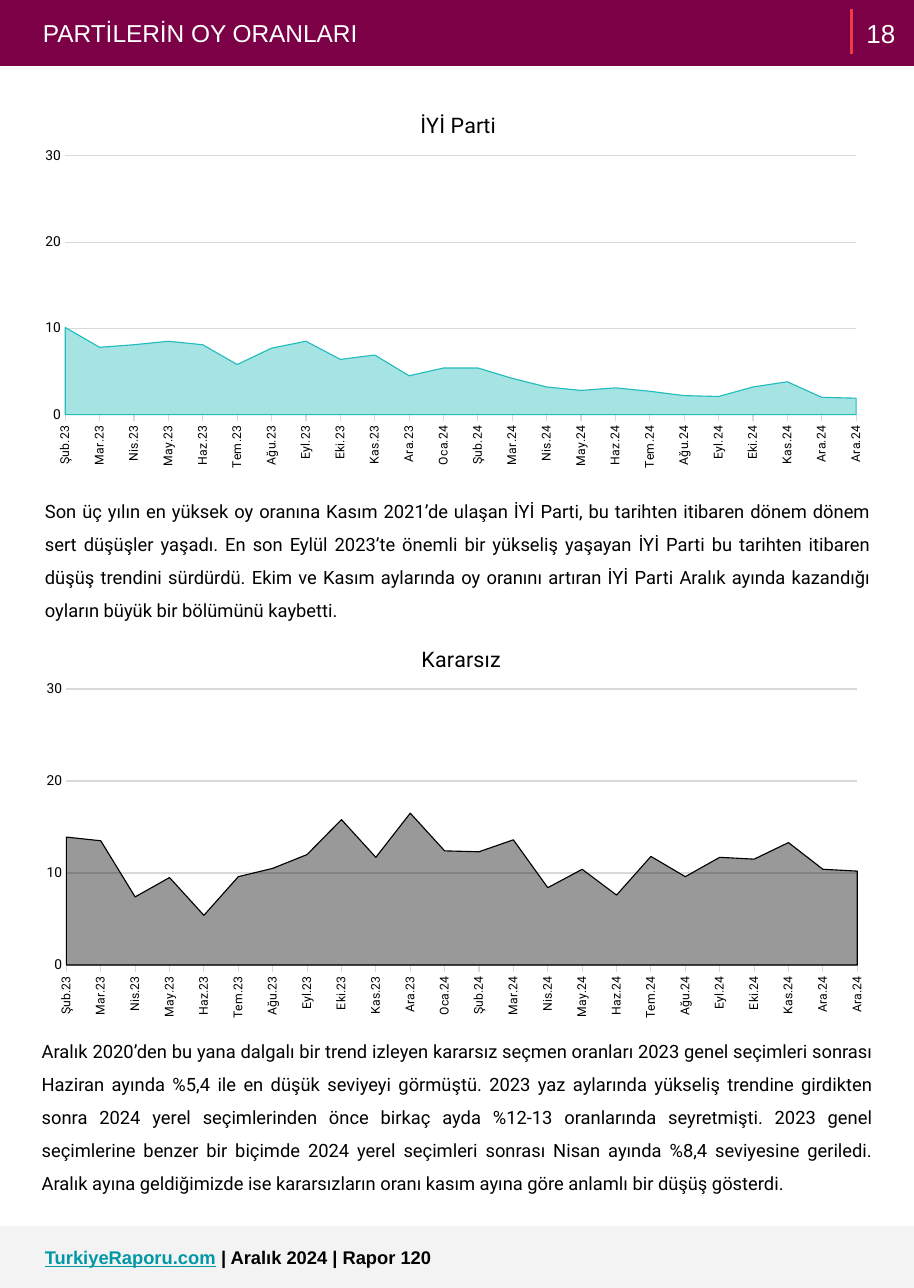
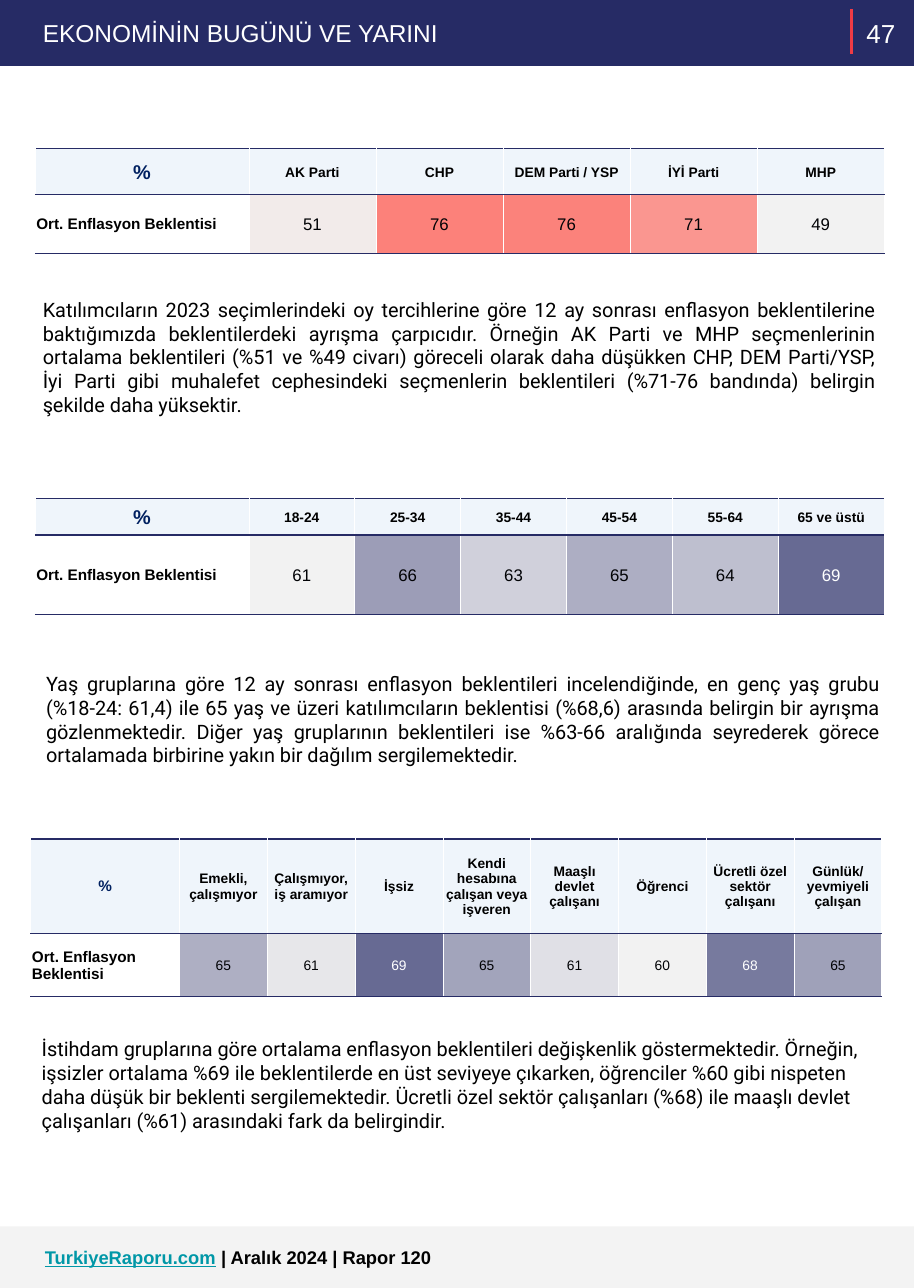
from dataclasses import dataclass

import lxml.etree
import pptx
import pptx.chart.chart
import pptx.chart.data
import pptx.dml.color
import pptx.enum.chart
import pptx.enum.shapes
import pptx.enum.text
import pptx.oxml.ns
import pptx.presentation
import pptx.slide
import pptx.table
import pptx.text.text
import pptx.util

Inches = pptx.util.Inches
Pt = pptx.util.Pt
RGBColor = pptx.dml.color.RGBColor
Align = pptx.enum.text.PP_ALIGN
Anchor = pptx.enum.text.MSO_ANCHOR
qn = pptx.oxml.ns.qn

PAGE_WIDTH, PAGE_HEIGHT = 8.3, 11.7
BAND_HEIGHT, FOOTER_TOP = 0.6, 11.14
SANS, BODY = "Arial", "Roboto"

BLACK = RGBColor(0x00, 0x00, 0x00)
WHITE = RGBColor(0xFF, 0xFF, 0xFF)
RED = RGBColor(0xEF, 0x3B, 0x45)
PLUM = RGBColor(0x7B, 0x00, 0x46)
NAVY = RGBColor(0x26, 0x2B, 0x65)
DEEP_BLUE = RGBColor(0x00, 0x20, 0x60)
LINK_TEAL = RGBColor(0x00, 0x97, 0xA7)
CHART_TEAL = RGBColor(0x22, 0xBC, 0xBC)
GRID_GREY = RGBColor(0xD9, 0xD9, 0xD9)
FOOTER_GREY = RGBColor(0xF3, 0xF3, 0xF3)
HEADER_BLUE = RGBColor(0xEF, 0xF5, 0xFB)
VALUE_INK = RGBColor(0x01, 0x02, 0x05)


def shades(*codes: str) -> tuple[RGBColor, ...]:
    return tuple(RGBColor.from_string(code) for code in codes)


PARTY_SHADES = shades("F2EBEA", "FC817A", "FB827B", "FA9690", "F2F2F2")
AGE_SHADES = shades("F2F2F2", "9C9DB7", "D0D0DB", "ADAEC3", "BEBFCF", "676A93")
JOB_SHADES = shades("AEAFC3", "E7E7EA", "676A93", "A2A4BB",
                    "E0E0E6", "F2F2F2", "777A9E", "9FA1B9")

MONTHS = ("Şub Mar Nis May Haz Tem Ağu Eyl Eki Kas Ara").split()
CATEGORIES = [f"{month}.23" for month in MONTHS] + [
    f"{month}.24" for month in ["Oca", *MONTHS, "Ara"]]


@dataclass
class Box:
    left: float
    top: float
    width: float
    height: float

    def lengths(self) -> list[pptx.util.Length]:
        return [Inches(value) for value in (self.left, self.top, self.width, self.height)]


@dataclass
class Page:
    title: str
    number: int
    band: RGBColor


@dataclass
class Passage:
    box: Box
    text: str
    size: int = 13
    align: Align = Align.JUSTIFY
    spacing: float = 1.0
    inset: float = 0.05


@dataclass
class VoteChart:
    box: Box
    title: str
    color: RGBColor
    plot_top: float
    plot_height: float
    values: list[float]


@dataclass
class ExpectationTable:
    box: Box
    label_width: float
    row_heights: tuple[float, float]
    groups: list[str]
    values: list[int]
    fills: tuple[RGBColor, ...]
    corner_size: int = 13
    value_size: int = 11


def style_font(font: pptx.text.text.Font, size: float, color: RGBColor,
               name: str = SANS, bold: bool = False) -> None:
    font.size, font.name, font.bold = Pt(size), name, bold
    font.color.rgb = color


def set_frame(frame: pptx.text.text.TextFrame, inset: float = 0.1,
              anchor: Anchor = Anchor.TOP) -> None:
    frame.word_wrap = True
    frame.auto_size = pptx.enum.text.MSO_AUTO_SIZE.NONE
    frame.vertical_anchor = anchor
    frame.margin_left = frame.margin_right = Inches(0.1)
    frame.margin_top = frame.margin_bottom = Inches(inset)


def add_text(slide: pptx.slide.Slide, box: Box, inset: float = 0.1,
             anchor: Anchor = Anchor.TOP) -> pptx.text.text._Paragraph:
    frame = slide.shapes.add_textbox(*box.lengths()).text_frame
    set_frame(frame, inset, anchor)
    return frame.paragraphs[0]


def add_band(slide: pptx.slide.Slide, top: float, height: float, color: RGBColor) -> None:
    band = slide.shapes.add_shape(pptx.enum.shapes.MSO_SHAPE.RECTANGLE,
                                  *Box(0, top, PAGE_WIDTH, height).lengths())
    band.shadow.inherit = False
    band.fill.solid()
    band.fill.fore_color.rgb = color
    band.line.fill.background()


def add_page(presentation: pptx.presentation.Presentation, page: Page) -> pptx.slide.Slide:
    slide = presentation.slides.add_slide(presentation.slide_layouts.get_by_name("Title Only"))
    add_band(slide, FOOTER_TOP, PAGE_HEIGHT - FOOTER_TOP, FOOTER_GREY)
    footer = add_text(slide, Box(0.31, 11.22, 6.96, 0.4))
    for text, color in (("TurkiyeRaporu.com", LINK_TEAL), (" ", RED),
                        ("| Aralık 2024 | Rapor 120", BLACK)):
        run = footer.add_run()
        run.text = text
        style_font(run.font, 12, color, bold=True)
        run.font.underline = color == LINK_TEAL

    add_band(slide, 0, BAND_HEIGHT, page.band)
    divider = slide.shapes.add_connector(
        pptx.enum.shapes.MSO_CONNECTOR.STRAIGHT,
        Inches(7.73), Inches(0.08), Inches(7.73), Inches(0.49))
    divider.line.color.rgb = RED
    divider.line.width = Pt(2.25)
    lxml.etree.SubElement(divider.element.spPr, qn("a:effectLst"))

    title = slide.shapes.title
    slide.shapes.element.append(title.element)
    title.left, title.top, title.width, title.height = Box(0.29, 0.06, 6.45, 0.47).lengths()
    set_frame(title.text_frame)
    title.text_frame.text = page.title
    heading = title.text_frame.paragraphs[0]
    heading.alignment = Align.LEFT
    heading.line_spacing = 1.0
    style_font(heading.font, 16, WHITE)

    number = add_text(slide, Box(7.73, -0.15, 0.54, 0.9), anchor=Anchor.MIDDLE)
    number.text = str(page.number)
    number.alignment = Align.CENTER
    style_font(number.font, 17, WHITE)
    return slide


def add_passage(slide: pptx.slide.Slide, passage: Passage) -> None:
    paragraph = add_text(slide, passage.box, passage.inset)
    paragraph.text = passage.text
    paragraph.alignment = passage.align
    paragraph.line_spacing = passage.spacing
    style_font(paragraph.font, passage.size, BLACK, BODY)


def set_layout(parent: lxml.etree._Element, index: int, **settings: str | float) -> None:
    for old in parent.findall(qn("c:layout")):
        parent.remove(old)
    layout = parent.makeelement(qn("c:layout"))
    parent.insert(index, layout)
    manual = lxml.etree.SubElement(layout, qn("c:manualLayout"))
    for name, value in settings.items():
        lxml.etree.SubElement(manual, qn(f"c:{name}")).set("val", str(value))


def add_vote_chart(slide: pptx.slide.Slide, item: VoteChart) -> None:
    data = pptx.chart.data.CategoryChartData()
    data.categories = CATEGORIES
    data.add_series("Series 1", item.values)
    chart = slide.shapes.add_chart(pptx.enum.chart.XL_CHART_TYPE.AREA,
                                   *item.box.lengths(), data).chart
    chart.has_legend = False
    style_font(chart.font, 10, BLACK, BODY)
    chart.chart_title.text_frame.text = item.title
    style_font(chart.chart_title.text_frame.paragraphs[0].font, 14, BLACK, BODY)
    set_layout(chart.chart_title.element, 1, xMode="edge", yMode="edge", x=0.455, y=0.05)
    set_layout(chart.element.xpath("c:chart/c:plotArea")[0], 0, layoutTarget="inner",
               xMode="edge", yMode="edge", x=0.043, y=item.plot_top,
               w=0.928, h=item.plot_height)

    tick = pptx.enum.chart.XL_TICK_MARK
    months, votes = chart.category_axis, chart.value_axis
    months.has_major_gridlines = False
    months.major_tick_mark = tick.OUTSIDE
    style_font(months.tick_labels.font, 8, BLACK, BODY)
    chart.element.xpath(".//c:catAx/c:txPr/a:bodyPr")[0].set("rot", "-5400000")
    votes.minimum_scale, votes.maximum_scale, votes.major_unit = 0, 30, 10
    votes.major_tick_mark = tick.NONE
    votes.has_major_gridlines = True
    votes.format.line.fill.background()
    style_font(votes.tick_labels.font, 9, BLACK, BODY)
    chart.element.xpath(".//c:crossBetween")[0].set("val", "midCat")

    series = chart.plots[0].series[0]
    for line, color in ((months.format.line, GRID_GREY),
                        (votes.major_gridlines.format.line, GRID_GREY),
                        (series.format.line, item.color)):
        line.color.rgb = color
        line.width = Pt(0.75)
    series.format.fill.solid()
    series.format.fill.fore_color.rgb = item.color
    fill_color = chart.element.xpath(".//c:ser/c:spPr/a:solidFill/a:srgbClr")[0]
    lxml.etree.SubElement(fill_color, qn("a:alpha")).set("val", "40000")


def fill_cell(cell: pptx.table._Cell, text: str, size: int, color: RGBColor,
              fill: RGBColor | None, bold: bool = True, align: Align = Align.CENTER) -> None:
    properties = cell._tc.get_or_add_tcPr()
    for side, line_color, width in (("L", WHITE, 0.5), ("R", WHITE, 0.5),
                                    ("T", NAVY, 1), ("B", NAVY, 1)):
        line = lxml.etree.SubElement(properties, qn(f"a:ln{side}"), w=str(Pt(width)))
        solid = lxml.etree.SubElement(line, qn("a:solidFill"))
        lxml.etree.SubElement(solid, qn("a:srgbClr"), val=str(line_color))
    if fill is None:
        cell.fill.background()
    else:
        cell.fill.solid()
        cell.fill.fore_color.rgb = fill
    cell.vertical_anchor = Anchor.MIDDLE
    cell.margin_left = cell.margin_right = cell.margin_top = Inches(0.01)
    cell.margin_bottom = 0
    cell.text = text
    paragraph = cell.text_frame.paragraphs[0]
    paragraph.alignment = align
    style_font(paragraph.font, size, color, bold=bold)


def add_expectation_table(slide: pptx.slide.Slide, item: ExpectationTable) -> None:
    count = len(item.groups)
    table = slide.shapes.add_table(2, count + 1, *item.box.lengths()).table
    table.first_row = table.horz_banding = False
    for row, height in zip(table.rows, item.row_heights):
        row.height = Inches(height)
    group_width = (item.box.width - item.label_width) / count
    for column, width in zip(table.columns, [item.label_width] + [group_width] * count):
        column.width = Inches(width)
    fill_cell(table.cell(0, 0), "%", item.corner_size, DEEP_BLUE, HEADER_BLUE)
    fill_cell(table.cell(1, 0), "Ort. Enflasyon Beklentisi", 10, BLACK, None, align=Align.LEFT)
    for index, (group, value, fill) in enumerate(zip(item.groups, item.values, item.fills), 1):
        fill_cell(table.cell(0, index), group, 9, BLACK, HEADER_BLUE)
        ink = WHITE if sum(fill) < 420 else VALUE_INK
        fill_cell(table.cell(1, index), str(value), item.value_size, ink, fill, bold=False)


VOTE_CHARTS = [
    VoteChart(Box(0.26, 0.79, 7.74, 3.54), "İYİ Parti", CHART_TEAL, 0.177, 0.664,
              [10.1, 7.8, 8.1, 8.5, 8.1, 5.8, 7.7, 8.5, 6.4, 6.9, 4.5, 5.4,
               5.4, 4.2, 3.2, 2.8, 3.1, 2.7, 2.2, 2.1, 3.2, 3.8, 2, 1.9]),
    VoteChart(Box(0.27, 5.63, 7.74, 3.7), "Kararsız", BLACK, 0.17, 0.678,
              [13.9, 13.5, 7.4, 9.5, 5.4, 9.6, 10.5, 12, 15.8, 11.7, 16.5, 12.4,
               12.3, 13.6, 8.4, 10.4, 7.6, 11.8, 9.6, 11.7, 11.5, 13.3, 10.4, 10.2]),
]
VOTE_PASSAGES = [
    Passage(Box(0.31, 4.34, 7.7, 0.71), "Son üç yılın en yüksek oy oranına Kasım 2021’de ulaşan İYİ Parti, bu tarihten itibaren dönem dönem sert düşüşler yaşadı. En son Eylül 2023’te önemli bir yükseliş yaşayan İYİ Parti bu tarihten itibaren düşüş trendini sürdürdü. Ekim ve Kasım aylarında oy oranını artıran İYİ Parti Aralık ayında kazandığı oyların büyük bir bölümünü kaybetti.", 12, spacing=1.5, inset=0.1),
    Passage(Box(0.28, 9.25, 7.75, 1.21), "Aralık 2020’den bu yana dalgalı bir trend izleyen kararsız seçmen oranları 2023 genel seçimleri sonrası Haziran ayında %5,4 ile en düşük seviyeyi görmüştü. 2023 yaz aylarında yükseliş trendine girdikten sonra 2024 yerel seçimlerinden önce birkaç ayda %12-13 oranlarında seyretmişti. 2023 genel seçimlerine benzer bir biçimde 2024 yerel seçimleri sonrası Nisan ayında %8,4 seviyesine geriledi. Aralık ayına geldiğimizde ise kararsızların oranı kasım ayına göre anlamlı bir düşüş gösterdi.", 12, spacing=1.5, inset=0.1),
]
EXPECTATION_TABLES = [
    ExpectationTable(Box(0.32, 1.35, 7.71, 0.95), 1.94, (0.42, 0.53),
                     ["AK Parti", "CHP", "DEM Parti / YSP", "İYİ Parti", "MHP"],
                     [51, 76, 76, 71, 49], PARTY_SHADES),
    ExpectationTable(Box(0.32, 4.53, 7.71, 1.05), 1.94, (0.33, 0.72),
                     ["18-24", "25-34", "35-44", "45-54", "55-64", "65 ve üstü"],
                     [61, 66, 63, 65, 64, 69], AGE_SHADES),
    ExpectationTable(Box(0.28, 7.62, 7.73, 1.43), 1.35, (0.86, 0.57),
                     ["Emekli, çalışmıyor", "Çalışmıyor, iş aramıyor", "İşsiz",
                      "Kendi hesabına çalışan veya işveren", "Maaşlı devlet çalışanı",
                      "Öğrenci", "Ücretli özel sektör çalışanı", "Günlük/yevmiyeli çalışan"],
                     [65, 61, 69, 65, 61, 60, 68, 65], JOB_SHADES, 10, 9),
]
EXPECTATION_PASSAGES = [
    Passage(Box(0.29, 2.6, 7.75, 1.51), "Katılımcıların 2023 seçimlerindeki oy tercihlerine göre 12 ay sonrası enflasyon beklentilerine baktığımızda beklentilerdeki ayrışma çarpıcıdır. Örneğin AK Parti ve MHP seçmenlerinin ortalama beklentileri (%51 ve %49 civarı) göreceli olarak daha düşükken CHP, DEM Parti/YSP, İyi Parti gibi muhalefet cephesindeki seçmenlerin beklentileri (%71-76 bandında) belirgin şekilde daha yüksektir.", inset=0.1),
    Passage(Box(0.32, 6.05, 7.76, 1.19), "Yaş gruplarına göre 12 ay sonrası enflasyon beklentileri incelendiğinde, en genç yaş grubu (%18-24: 61,4) ile 65 yaş ve üzeri katılımcıların beklentisi (%68,6) arasında belirgin bir ayrışma gözlenmektedir. Diğer yaş gruplarının beklentileri ise %63-66 aralığında seyrederek görece ortalamada birbirine yakın bir dağılım sergilemektedir."),
    Passage(Box(0.28, 9.37, 7.75, 1.19), "İstihdam gruplarına göre ortalama enflasyon beklentileri değişkenlik göstermektedir. Örneğin, işsizler ortalama %69 ile beklentilerde en üst seviyeye çıkarken, öğrenciler %60 gibi nispeten daha düşük bir beklenti sergilemektedir. Ücretli özel sektör çalışanları (%68) ile maaşlı devlet çalışanları (%61) arasındaki fark da belirgindir.", align=Align.LEFT),
]


def main() -> None:
    presentation = pptx.Presentation()
    presentation.slide_width = Inches(PAGE_WIDTH)
    presentation.slide_height = Inches(PAGE_HEIGHT)

    votes = add_page(presentation, Page("PARTİLERİN OY ORANLARI", 18, PLUM))
    for passage in VOTE_PASSAGES:
        add_passage(votes, passage)
    for chart in VOTE_CHARTS:
        add_vote_chart(votes, chart)

    economy = add_page(presentation, Page("EKONOMİNİN BUGÜNÜ VE YARINI", 47, NAVY))
    for table in EXPECTATION_TABLES:
        add_expectation_table(economy, table)
    for passage in EXPECTATION_PASSAGES:
        add_passage(economy, passage)

    presentation.save("out.pptx")


if __name__ == "__main__":
    main()
